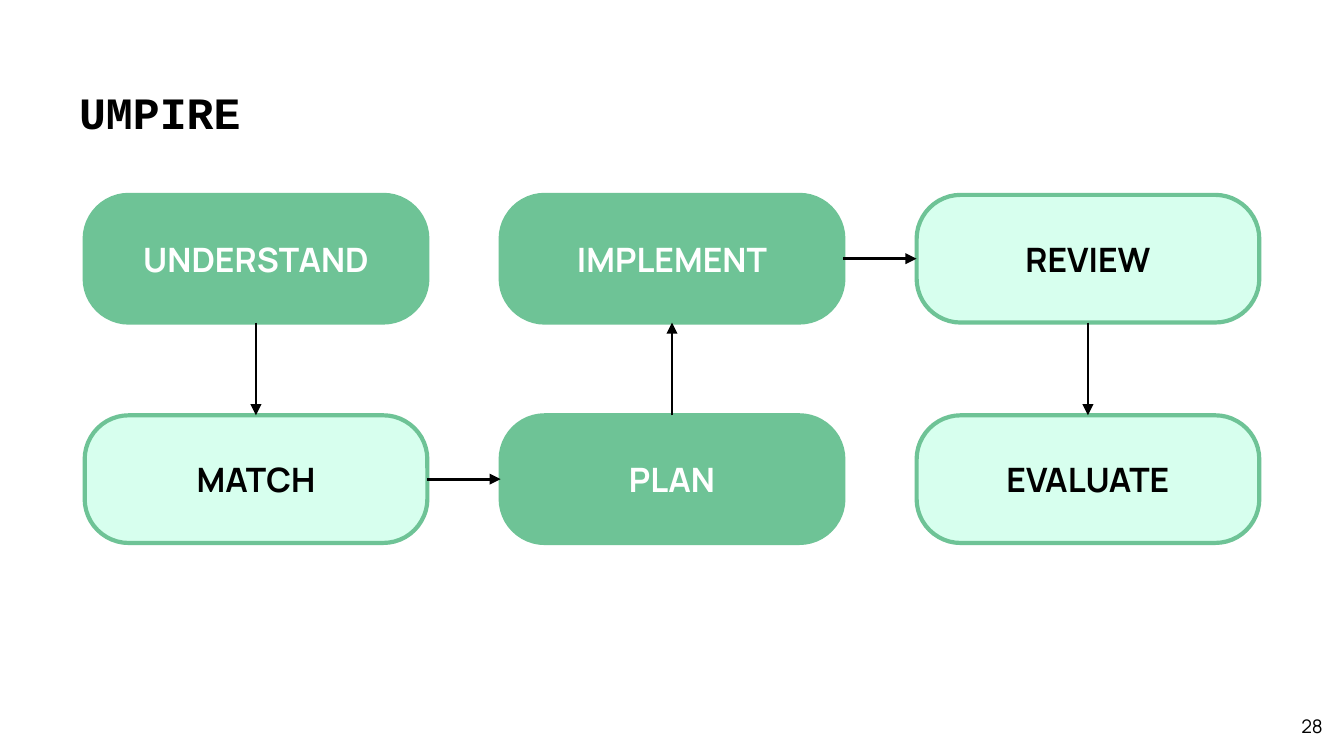
from lxml import etree
from pptx import Presentation, util as u
from pptx.dml.color import RGBColor
from pptx.enum import shapes, text
from pptx.oxml import ns


def hue(code):
    return RGBColor.from_string(code)


def write(shape, words, font, size, bold, ink, align, anchor):
    frame = shape.text_frame
    frame.word_wrap = True
    frame.vertical_anchor = anchor
    frame.margin_left = frame.margin_right = u.Inches(0.1)
    frame.margin_top = frame.margin_bottom = u.Inches(0.1)
    para = frame.paragraphs[0]
    para.alignment = align
    run = para.add_run()
    run.text = words
    run.font.name = font
    run.font.size = u.Pt(size)
    run.font.bold = bold
    run.font.color.rgb = hue(ink)


deck = Presentation()
deck.slide_width = u.Inches(10)
deck.slide_height = u.Inches(10) * 9 // 16
slide = deck.slides.add_slide(deck.slide_layouts[6])
side = text.PP_ALIGN
mid = text.MSO_ANCHOR.MIDDLE

title = slide.shapes.add_textbox(u.Inches(0.49), u.Inches(0.53), u.Inches(9.01), u.Inches(0.63))
write(title, "UMPIRE", "Courier New", 24, True, "000000", side.LEFT, text.MSO_ANCHOR.TOP)

number = slide.shapes.add_textbox(u.Inches(9.34), u.Inches(5.24), u.Inches(0.6), u.Inches(0.33))
write(number, "28", "Manrope", 10, False, "000000", side.RIGHT, mid)

green, mint = "6EC396", "D7FFEE"
left, top = 0.63, 1.45
across, down = (6.82 - left) / 2, 3.09 - top
steps = [
    ("UNDERSTAND", 0, 0, green, "FFFFFF"),
    ("MATCH", 0, 1, mint, "000000"),
    ("PLAN", 1, 1, green, "FFFFFF"),
    ("IMPLEMENT", 1, 0, green, "FFFFFF"),
    ("REVIEW", 2, 0, mint, "000000"),
    ("EVALUATE", 2, 1, mint, "000000"),
]
boxes = []
for name, col, row, fill, ink in steps:
    box = slide.shapes.add_shape(
        shapes.MSO_SHAPE.ROUNDED_RECTANGLE,
        u.Inches(left + col * across), u.Inches(top + row * down),
        u.Inches(2.55), u.Inches(0.95),
    )
    box.adjustments[0] = 0.345
    box.shadow.inherit = False
    box.fill.solid()
    box.fill.fore_color.rgb = hue(fill)
    box.line.color.rgb = hue(green)
    box.line.width = u.Pt(2.25)
    write(box, name, "Manrope", 18, True, ink, side.CENTER, mid)
    boxes.append(box)

north, west, south, east = range(4)
links = [(south, north), (east, west), (north, south), (east, west), (south, north)]
for start, end, (out, into) in zip(boxes, boxes[1:], links):
    arrow = slide.shapes.add_connector(shapes.MSO_CONNECTOR.STRAIGHT, 0, 0, 0, 0)
    arrow.begin_connect(start, out)
    arrow.end_connect(end, into)
    arrow.line.color.rgb = hue("000000")
    arrow.line.width = u.Pt(1.5)
    etree.SubElement(arrow.line._get_or_add_ln(), ns.qn("a:tailEnd"), type="triangle")
    etree.SubElement(arrow._element.spPr, ns.qn("a:effectLst"))

deck.save("out.pptx")
